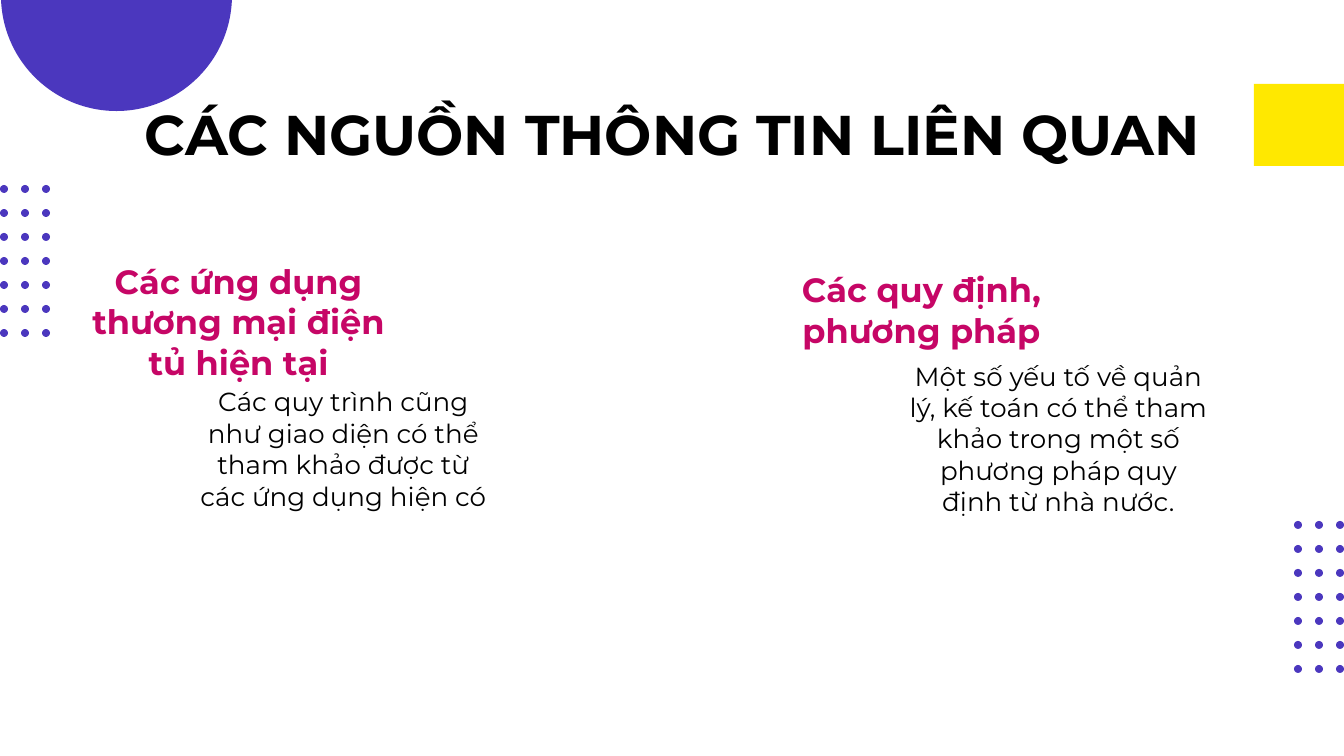
from itertools import product
from pptx import Presentation
from pptx.dml.color import RGBColor
from pptx.enum.shapes import MSO_SHAPE
from pptx.enum.text import MSO_ANCHOR, PP_ALIGN
from pptx.util import Inches, Pt

WIDE, HIGH = 1344, 756
SCALE = Inches(10) / WIDE
FONT = "Montserrat"
BLACK = RGBColor(0x00, 0x00, 0x00)
PINK = RGBColor(0xC6, 0x06, 0x66)
VIOLET = RGBColor(0x4B, 0x37, 0xBE)
YELLOW = RGBColor(0xFF, 0xE8, 0x00)


def px(n):
    return round(n * SCALE)


def add_text(slide, box, text, size, color=BLACK, bold=False):
    frame = slide.shapes.add_textbox(*map(px, box)).text_frame
    frame.word_wrap = True
    frame.vertical_anchor = MSO_ANCHOR.MIDDLE
    frame.margin_left = frame.margin_right = Inches(0.1)
    frame.margin_top = frame.margin_bottom = Inches(0.1)
    frame.text = text
    line = frame.paragraphs[0]
    line.alignment = PP_ALIGN.CENTER
    font = line.runs[0].font
    font.name, font.size, font.bold = FONT, Pt(size), bold
    font.color.rgb = color


def add_solid(shapes, kind, box, color):
    shape = shapes.add_shape(kind, *map(px, box))
    shape.shadow.inherit = False
    shape.fill.solid()
    shape.fill.fore_color.rgb = color
    shape.line.fill.background()


def add_column(slide, left, top, shift, drop, head, body):
    add_text(slide, (left + shift, top + drop, 329, 101), body, 14)
    add_text(slide, (left, top, 329, 81), head, 18, PINK, True)


def add_dots(slide, left, top):
    group = slide.shapes.add_group_shape()
    for col, row in product(range(3), range(7)):
        box = (left + col * 21, top + row * 24, 8, 8)
        add_solid(group.shapes, MSO_SHAPE.OVAL, box, VIOLET)


def main():
    deck = Presentation()
    deck.slide_width, deck.slide_height = px(WIDE), px(HIGH)
    slide = deck.slides.add_slide(deck.slide_layouts[6])
    add_column(slide, 74, 281, 105, 117,
               "Các ứng dụng thương mại điện tủ hiện tại",
               "Các quy trình cũng như giao diện có thể tham khảo "
               "được từ các ứng dụng hiện có")
    add_column(slide, 757, 269, 137, 119,
               "Các quy định, phương pháp",
               "Một số yếu tố về quản lý, kế toán có thể tham khảo "
               "trong một số phương pháp quy định từ nhà nước.")
    add_text(slide, (108, 83, 1129, 101),
             "CÁC NGUỒN THÔNG TIN LIÊN QUAN", 30, bold=True)
    add_solid(slide.shapes, MSO_SHAPE.OVAL, (1, -120, 231, 231), VIOLET)
    add_solid(slide.shapes, MSO_SHAPE.RECTANGLE, (1254, 84, 90, 82), YELLOW)
    add_dots(slide, 0, 185)
    add_dots(slide, 1294, 521)
    deck.save("out.pptx")


if __name__ == "__main__":
    main()
